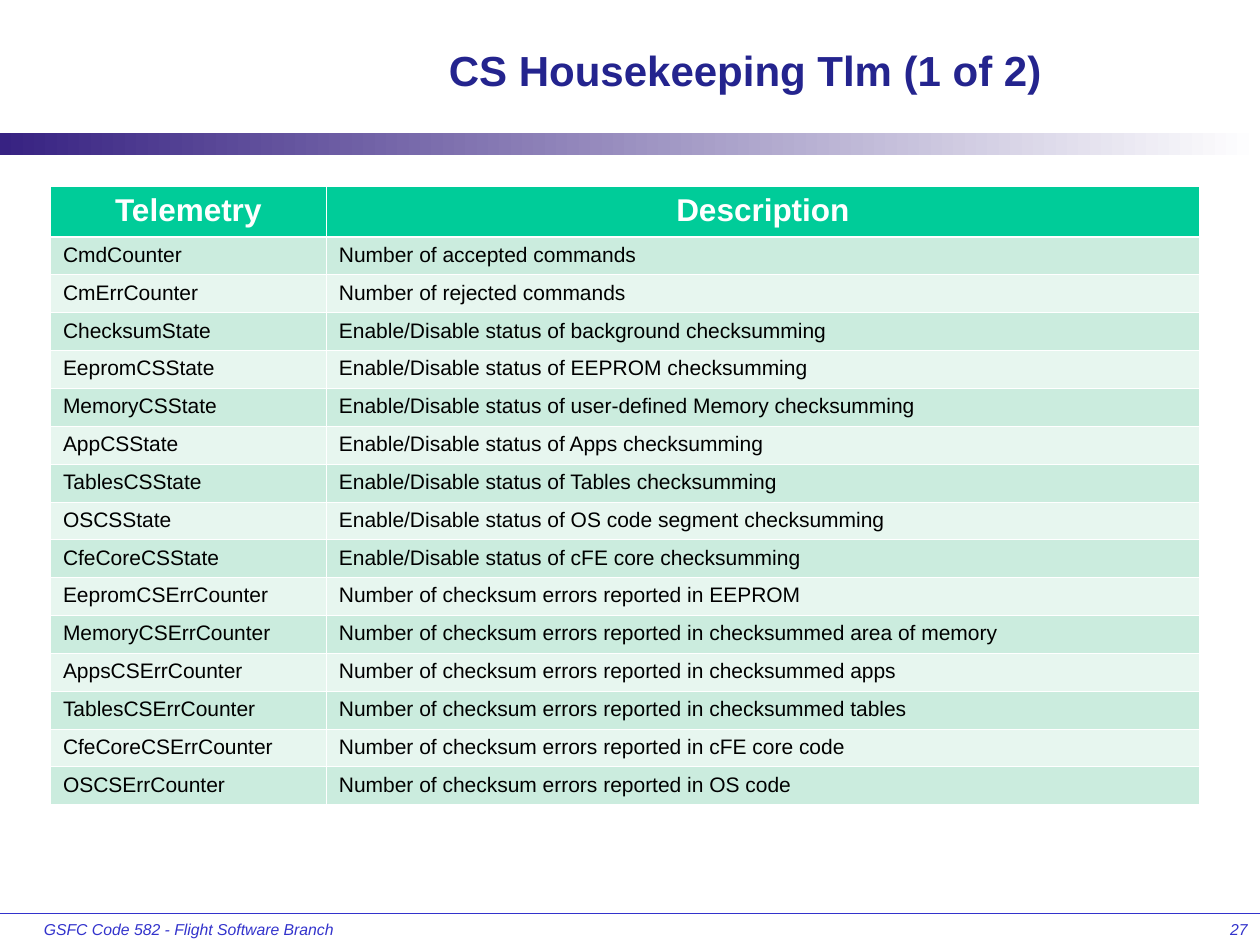
from lxml import etree
from pptx import Presentation
from pptx import util as u
from pptx.dml.color import RGBColor
from pptx.enum import shapes, text
from pptx.oxml import ns

BLUE, WHITE = "3333CC", "FFFFFF"
ROWS = [
    ("CmdCounter", "Number of accepted commands"),
    ("CmErrCounter", "Number of rejected commands"),
    ("ChecksumState", "Enable/Disable status of background checksumming"),
    ("EepromCSState", "Enable/Disable status of EEPROM checksumming"),
    ("MemoryCSState", "Enable/Disable status of user-defined Memory checksumming"),
    ("AppCSState", "Enable/Disable status of Apps checksumming"),
    ("TablesCSState", "Enable/Disable status of Tables checksumming"),
    ("OSCSState", "Enable/Disable status of OS code segment checksumming"),
    ("CfeCoreCSState", "Enable/Disable status of cFE core checksumming"),
    ("EepromCSErrCounter", "Number of checksum errors reported in EEPROM"),
    ("MemoryCSErrCounter", "Number of checksum errors reported in checksummed area of memory"),
    ("AppsCSErrCounter", "Number of checksum errors reported in checksummed apps"),
    ("TablesCSErrCounter", "Number of checksum errors reported in checksummed tables"),
    ("CfeCoreCSErrCounter", "Number of checksum errors reported in cFE core code"),
    ("OSCSErrCounter", "Number of checksum errors reported in OS code"),
]


def color(code):
    return RGBColor.from_string(code)


def write(frame, words, size=12, ink="000000", bold=False, italic=False, align="LEFT"):
    para = frame.paragraphs[0]
    para.alignment = getattr(text.PP_ALIGN, align)
    run = para.add_run()
    run.text = words
    font = run.font
    font.name, font.size = "Arial", u.Pt(size)
    font.bold, font.italic = bold, italic
    font.color.rgb = color(ink)


def add_text(slide, box, words, wrap=True, anchor="TOP", **style):
    frame = slide.shapes.add_textbox(*map(u.Inches, box)).text_frame
    frame.word_wrap = wrap
    frame.vertical_anchor = getattr(text.MSO_ANCHOR, anchor)
    write(frame, words, **style)


def add_band(slide):
    """Draw the bar that fades out to the right under the title."""
    band = slide.shapes.add_shape(
        shapes.MSO_SHAPE.RECTANGLE, 0, u.Inches(1.06), u.Inches(10), u.Inches(0.17))
    band.shadow.inherit = False
    band.line.fill.background()
    band.fill.gradient()
    band.fill.gradient_angle = 0
    for stop, code in zip(band.fill.gradient_stops, ("372282", WHITE)):
        stop.color.rgb = color(code)


def add_rule(slide):
    rule = slide.shapes.add_connector(
        shapes.MSO_CONNECTOR.STRAIGHT, 0, u.Inches(7.25), u.Inches(10), u.Inches(7.25))
    rule.line.color.rgb = color(BLUE)
    rule.line.width = u.Pt(0.75)
    etree.SubElement(rule.element.spPr, ns.qn("a:effectLst"))


def set_cell(cell, fill, top, base):
    """Fill a cell and give it white borders; top and base are widths in points."""
    props = cell._tc.get_or_add_tcPr()
    for side, width in (("L", 0.45), ("R", 0.45), ("T", top), ("B", base)):
        edge = etree.SubElement(props, ns.qn(f"a:ln{side}"), w=str(u.Pt(width)))
        solid = etree.SubElement(edge, ns.qn("a:solidFill"))
        etree.SubElement(solid, ns.qn("a:srgbClr"), val=WHITE)
    cell.fill.solid()
    cell.fill.fore_color.rgb = color(fill)


def add_grid(slide):
    rows = [("Telemetry", "Description")] + ROWS
    table = slide.shapes.add_table(
        len(rows), 2, *map(u.Inches, (0.4, 1.48, 9.11, 4.9))).table
    table.horz_banding = False
    for col, width in zip(table.columns, (2.19, 6.93)):
        col.width = u.Inches(width)
    for i, row in enumerate(rows):
        head = i == 0
        table.rows[i].height = u.Inches(0.4 if head else 0.3)
        fill = "00CC99" if head else ("E7F6EF", "CBECDE")[i % 2]
        style = dict(size=18, ink=WHITE, bold=True, align="CENTER") if head else {}
        for j, words in enumerate(row):
            cell = table.cell(i, j)
            set_cell(cell, fill, 1.47 if i == 1 else 0.45, 1.47 if head else 0.45)
            write(cell.text_frame, words, **style)


def main():
    deck = Presentation()
    deck.slide_width, deck.slide_height = u.Inches(10), u.Inches(7.5)
    slide = deck.slides.add_slide(deck.slide_layouts[6])
    add_rule(slide)
    add_band(slide)
    small = dict(size=9, ink=BLUE, italic=True)
    add_text(slide, (0.25, 7.25, 2.5, 0.25), "GSFC Code 582 - Flight Software Branch",
             wrap=False, **small)
    add_text(slide, (7.92, 7.25, 2.08, 0.25), "27", align="RIGHT", **small)
    add_text(slide, (2.08, 0.17, 7.67, 0.76), "CS Housekeeping Tlm (1 of 2)",
             anchor="MIDDLE", size=24, ink="24248E", bold=True, align="CENTER")
    add_grid(slide)
    deck.save("out.pptx")


if __name__ == "__main__":
    main()
